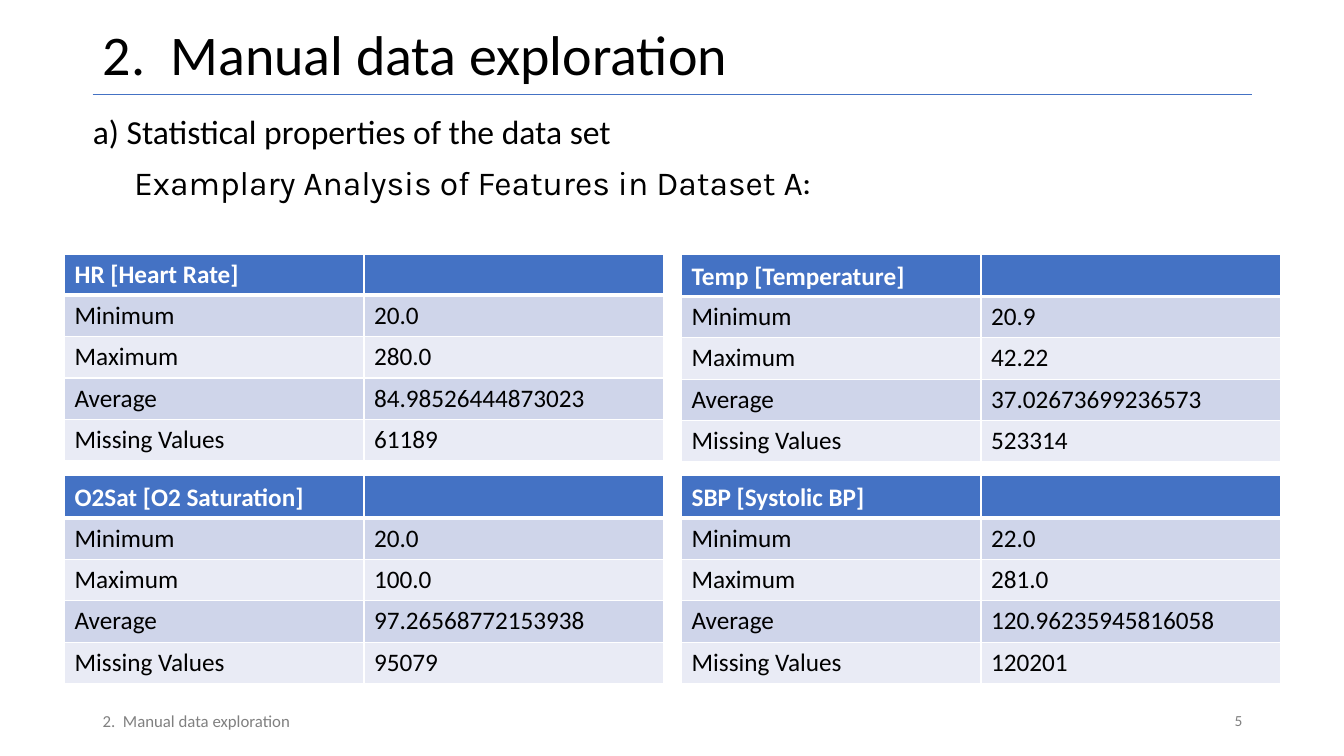
import dataclasses

import lxml.etree
import pptx
import pptx.dml.color
import pptx.enum.shapes
import pptx.enum.text
import pptx.oxml.ns
import pptx.util

Inches = pptx.util.Inches
Pt = pptx.util.Pt
qn = pptx.oxml.ns.qn
ALIGN = pptx.enum.text.PP_ALIGN
ANCHOR = pptx.enum.text.MSO_ANCHOR

COLORS = {
    "text": "000000",
    "accent": "4472C4",
    "band_dark": "CFD5EA",
    "band_light": "E9EBF5",
    "white": "FFFFFF",
    "footer": "808080",
}
FONT = "Calibri"
SECTION_TITLE = "2.  Manual data exploration"
STATISTICS = ("Minimum", "Maximum", "Average", "Missing Values")

# Grid of the feature tables
TABLE_LEFT, TABLE_TOP = 0.64, 2.52
STEP_X, STEP_Y = 6.12, 2.2
COLUMN_WIDTH, ROW_HEIGHT = 2.97, 0.41


@dataclasses.dataclass
class Feature:
    name: str
    values: tuple[str, ...]
    column: int
    row: int
    heading_spacing: float = 1.07
    heading_after: float = 8


FEATURES = (
    Feature("HR [Heart Rate]", ("20.0", "280.0", "84.98526444873023", "61189"), 0, 0, 1, 0),
    Feature("O2Sat [O2 Saturation]", ("20.0", "100.0", "97.26568772153938", "95079"), 0, 1),
    Feature("Temp [Temperature]", ("20.9", "42.22", "37.02673699236573", "523314"), 1, 0),
    Feature("SBP [Systolic BP]", ("22.0", "281.0", "120.96235945816058", "120201"), 1, 1),
)


def rgb(color: str) -> pptx.dml.color.RGBColor:
    return pptx.dml.color.RGBColor.from_string(COLORS[color])


def place(shape, left: float, top: float, width: float, height: float) -> None:
    shape.left, shape.top = Inches(left), Inches(top)
    shape.width, shape.height = Inches(width), Inches(height)


def format_runs(para, size: float, color: str, font: str = FONT, bold: bool = False) -> None:
    for run in para.runs:
        run.font.name = font
        run.font.size = Pt(size)
        run.font.bold = bold
        run.font.color.rgb = rgb(color)


def add_title(slide) -> None:
    title = slide.shapes.title
    place(title, 0.92, 0, 11.5, 1.13)
    frame = title.text_frame
    frame.text = SECTION_TITLE
    frame.vertical_anchor = ANCHOR.MIDDLE
    frame.auto_size = pptx.enum.text.MSO_AUTO_SIZE.NONE
    para = frame.paragraphs[0]
    para.alignment = ALIGN.LEFT
    para.line_spacing = 0.9
    format_runs(para, 40, "text")


def add_title_rule(slide) -> None:
    rule = slide.shapes.add_connector(
        pptx.enum.shapes.MSO_CONNECTOR.STRAIGHT,
        Inches(0.92), Inches(0.94), Inches(12.42), Inches(0.94))
    rule.line.color.rgb = rgb("accent")
    rule.line.width = Pt(1)
    properties = rule._element.find(qn("p:spPr"))
    lxml.etree.SubElement(properties, qn("a:effectLst"))


def add_body(slide) -> None:
    body = slide.placeholders[1]
    place(body, 0.82, 1.1, 11.5, 4.04)
    frame = body.text_frame
    frame.text = ("a) Statistical properties of the data set\n"
                  "Examplary Analysis of Features in Dataset A:")
    frame.auto_size = pptx.enum.text.MSO_AUTO_SIZE.NONE
    for para, font, indent in zip(frame.paragraphs, (FONT, "Karla"), (0, 0.41)):
        para.line_spacing = 0.9
        para.space_before = Pt(10)
        format_runs(para, 24, "text", font)
        properties = para._p.get_or_add_pPr()
        properties.set("marL", str(Inches(indent)))
        properties.set("indent", "0")
        lxml.etree.SubElement(properties, qn("a:buNone"))


def add_footer_text(slide, text: str, left: float, top: float, width: float,
                    height: float, size: float, align, anchor) -> None:
    box = slide.shapes.add_textbox(Inches(left), Inches(top), Inches(width), Inches(height))
    frame = box.text_frame
    frame.word_wrap = True
    frame.vertical_anchor = anchor
    frame.text = text
    frame.paragraphs[0].alignment = align
    format_runs(frame.paragraphs[0], size, "footer")


def set_borders(cell, top: float, bottom: float) -> None:
    properties = cell._tc.get_or_add_tcPr()
    for side, width in (("L", 1), ("R", 1), ("T", top), ("B", bottom)):
        line = lxml.etree.SubElement(properties, qn(f"a:ln{side}"), w=str(Pt(width)))
        fill = lxml.etree.SubElement(line, qn("a:solidFill"))
        lxml.etree.SubElement(fill, qn("a:srgbClr"), val=COLORS["white"])


def add_feature_table(slide, feature: Feature) -> None:
    rows = [(feature.name, ""), *zip(STATISTICS, feature.values)]
    table = slide.shapes.add_table(
        len(rows), 2,
        Inches(TABLE_LEFT + feature.column * STEP_X),
        Inches(TABLE_TOP + feature.row * STEP_Y),
        Inches(2 * COLUMN_WIDTH), Inches(ROW_HEIGHT * len(rows))).table
    for row_index, texts in enumerate(rows):
        table.rows[row_index].height = Inches(ROW_HEIGHT)
        heading = row_index == 0
        band = "band_dark" if row_index % 2 else "band_light"
        for column_index, text in enumerate(texts):
            cell = table.cell(row_index, column_index)
            set_borders(cell, 3 if row_index == 1 else 1, 3 if heading else 1)
            cell.fill.solid()
            cell.fill.fore_color.rgb = rgb("accent" if heading else band)
            cell.text_frame.text = text
            para = cell.text_frame.paragraphs[0]
            format_runs(para, 18, "white" if heading else "text", bold=heading)
    heading_para = table.cell(0, 0).text_frame.paragraphs[0]
    heading_para.line_spacing = feature.heading_spacing
    heading_para.space_after = Pt(feature.heading_after)


def main() -> None:
    deck = pptx.Presentation()
    deck.slide_width, deck.slide_height = Inches(13.33), Inches(7.5)
    page = deck.slides.add_slide(deck.slide_layouts[1])

    # Heading and introduction
    add_title_rule(page)
    add_title(page)
    add_body(page)

    # Page number and footer
    add_footer_text(page, "5", 10.09, 6.95, 2.33, 0.4, 11, ALIGN.RIGHT, ANCHOR.MIDDLE)
    add_footer_text(page, SECTION_TITLE, 0.92, 7, 7.57, 0.3, 12, ALIGN.LEFT, ANCHOR.TOP)

    # Feature statistics
    for feature in FEATURES:
        add_feature_table(page, feature)

    deck.save("out.pptx")


if __name__ == "__main__":
    main()
